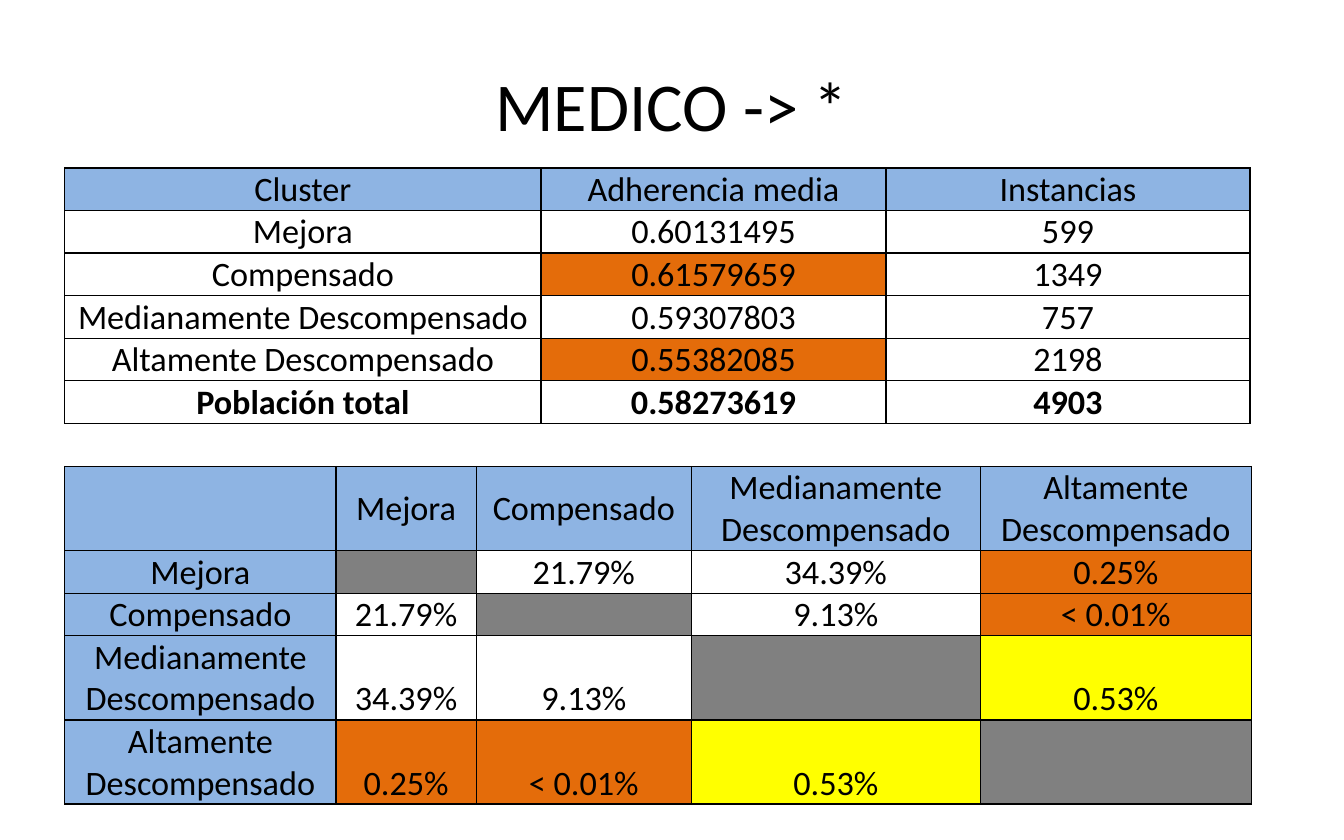
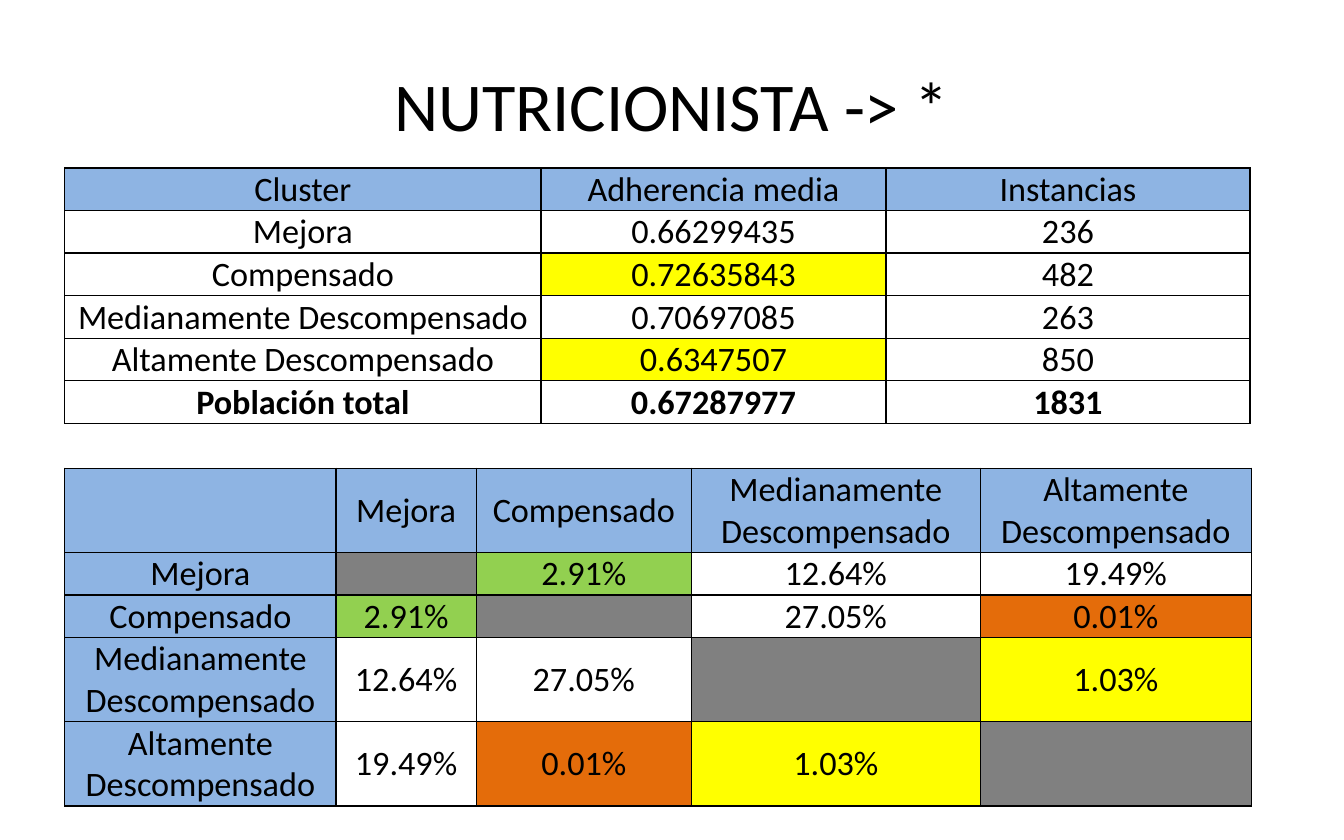
"""Build two slides comparing adherence between patient clusters."""
from lxml import etree
from pptx import Presentation
from pptx.dml.color import RGBColor
from pptx.enum.text import MSO_ANCHOR, PP_ALIGN
from pptx.oxml.ns import qn
from pptx.util import Cm, Pt

MIDDLE, BOTTOM = MSO_ANCHOR.MIDDLE, MSO_ANCHOR.BOTTOM
CENTER = PP_ALIGN.CENTER
BLACK = RGBColor(0x00, 0x00, 0x00)
WHITE = RGBColor(0xFF, 0xFF, 0xFF)
BLUE = RGBColor(0x8E, 0xB4, 0xE3)
GREY = RGBColor(0x80, 0x80, 0x80)
ORANGE = RGBColor(0xE4, 0x6C, 0x0A)
YELLOW = RGBColor(0xFF, 0xFF, 0x00)
GREEN = RGBColor(0x92, 0xD0, 0x50)
FONT = "Calibri"

CLUSTERS = ["Mejora", "Compensado", "Medianamente Descompensado", "Altamente Descompensado"]
SUMMARY_HEADER = ["Cluster", "Adherencia media", "Instancias"]
TOTAL = "Población total"
HIGHLIGHTED = ("Compensado", "Altamente Descompensado")

SLIDES = [
    {
        "title": "MEDICO -> *",
        "adherence": ["0.60131495", "0.61579659", "0.59307803", "0.55382085", "0.58273619"],
        "instances": ["599", "1349", "757", "2198", "4903"],
        "highlight": ORANGE,
        "pairs": {
            (0, 1): ("21.79%", WHITE), (0, 2): ("34.39%", WHITE), (0, 3): ("0.25%", ORANGE),
            (1, 2): ("9.13%", WHITE), (1, 3): ("< 0.01%", ORANGE), (2, 3): ("0.53%", YELLOW),
        },
        "pair_anchor": BOTTOM,
        "matrix_top": 10.58,
    },
    {
        "title": "NUTRICIONISTA -> *",
        "adherence": ["0.66299435", "0.72635843", "0.70697085", "0.6347507", "0.67287977"],
        "instances": ["236", "482", "263", "850", "1831"],
        "highlight": YELLOW,
        "pairs": {
            (0, 1): ("2.91%", GREEN), (0, 2): ("12.64%", WHITE), (0, 3): ("19.49%", WHITE),
            (1, 2): ("27.05%", WHITE), (1, 3): ("0.01%", ORANGE), (2, 3): ("1.03%", YELLOW),
        },
        "pair_anchor": MIDDLE,
        "matrix_top": 10.62,
    },
]

TABLE_LEFT, SUMMARY_TOP, LINE_HEIGHT = 1.47, 3.81, 0.95
SUMMARY_WIDTHS = [10.8, 7.82, 8.26]
MATRIX_WIDTHS = [6.15, 3.18, 4.88, 6.55, 6.15]
SUMMARY_LINES = [1] * 6
MATRIX_LINES = [2, 1, 1, 2, 2]


def add_text(paragraph, text, size, bold=False):
    paragraph.alignment = CENTER
    run = paragraph.add_run()
    run.text = text
    run.font.name, run.font.size, run.font.bold = FONT, Pt(size), bold
    run.font.color.rgb = BLACK


def add_borders(cell):
    properties = cell._tc.get_or_add_tcPr()
    for side in ("a:lnL", "a:lnR", "a:lnT", "a:lnB"):
        border = etree.SubElement(properties, qn(side), w=str(Pt(1)))
        fill = etree.SubElement(border, qn("a:solidFill"))
        etree.SubElement(fill, qn("a:srgbClr"), val=str(BLACK))


def add_grid(slide, top, widths, lines, rows):
    heights = [Cm(count * LINE_HEIGHT) for count in lines]
    grid = slide.shapes.add_table(len(rows), len(widths), Cm(TABLE_LEFT), Cm(top),
                                  Cm(sum(widths)), sum(heights)).table
    grid.first_row = grid.horz_banding = False
    for column, width in zip(grid.columns, widths):
        column.width = Cm(width)
    for r, (height, row) in enumerate(zip(heights, rows)):
        grid.rows[r].height = height
        for c, (text, color, anchor, bold) in enumerate(row):
            cell = grid.cell(r, c)
            add_borders(cell)
            cell.fill.solid()
            cell.fill.fore_color.rgb = color
            cell.vertical_anchor = anchor
            cell.margin_left = cell.margin_right = cell.margin_top = Cm(0.02)
            cell.margin_bottom = 0
            if text:
                add_text(cell.text_frame.paragraphs[0], text, 22, bold)


def header(text):
    return text, BLUE, MIDDLE, False


def summary_rows(content):
    rows = [[header(text) for text in SUMMARY_HEADER]]
    for name, mean, count in zip(CLUSTERS + [TOTAL], content["adherence"], content["instances"]):
        color = content["highlight"] if name in HIGHLIGHTED else WHITE
        bold = name == TOTAL
        rows.append([(name, WHITE, MIDDLE, bold), (mean, color, BOTTOM, bold),
                     (count, WHITE, BOTTOM, bold)])
    return rows


def matrix_rows(content):
    rows = [[header(text) for text in [""] + CLUSTERS]]
    for r, name in enumerate(CLUSTERS):
        row = [header(name)]
        for c in range(len(CLUSTERS)):
            text, color = content["pairs"].get((min(r, c), max(r, c)), ("", GREY))
            row.append((text, color, content["pair_anchor"], False))
        rows.append(row)
    return rows


deck = Presentation()
deck.slide_width, deck.slide_height = Cm(30.48), Cm(19.05)
title_only = deck.slide_layouts[5]
for content in SLIDES:
    slide = deck.slides.add_slide(title_only)
    title = slide.shapes.title
    title.left, title.top, title.width, title.height = Cm(1.52), Cm(0.76), Cm(27.43), Cm(3.18)
    title.text_frame.vertical_anchor = MIDDLE
    add_text(title.text_frame.paragraphs[0], content["title"], 44)
    add_grid(slide, content["matrix_top"], MATRIX_WIDTHS, MATRIX_LINES, matrix_rows(content))
    add_grid(slide, SUMMARY_TOP, SUMMARY_WIDTHS, SUMMARY_LINES, summary_rows(content))
deck.save("out.pptx")
